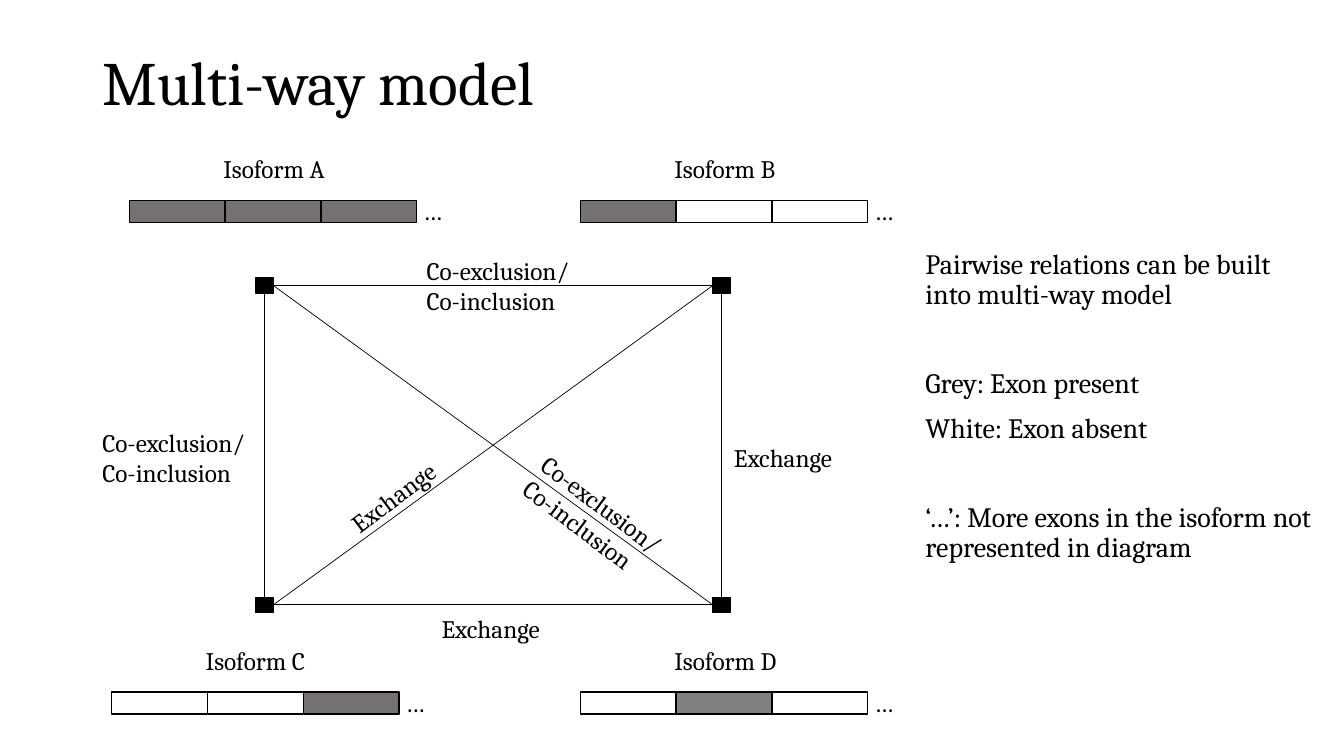
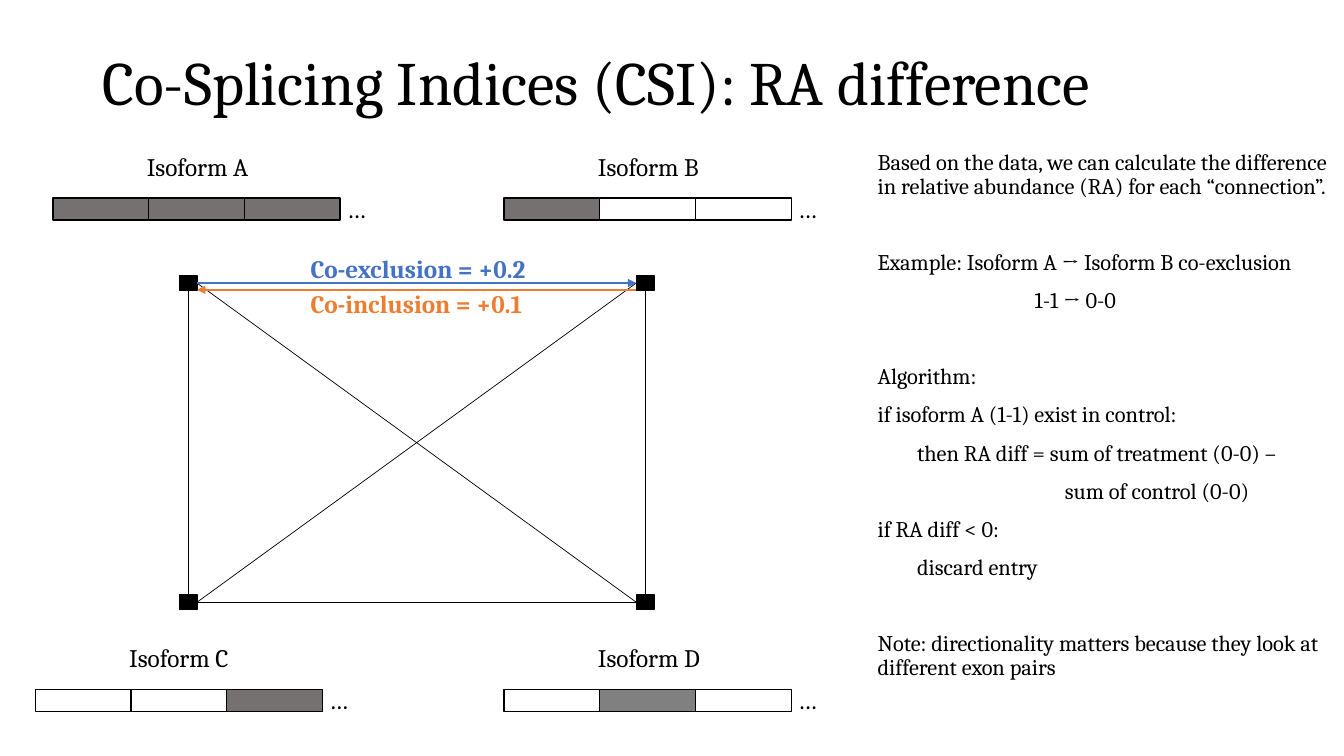
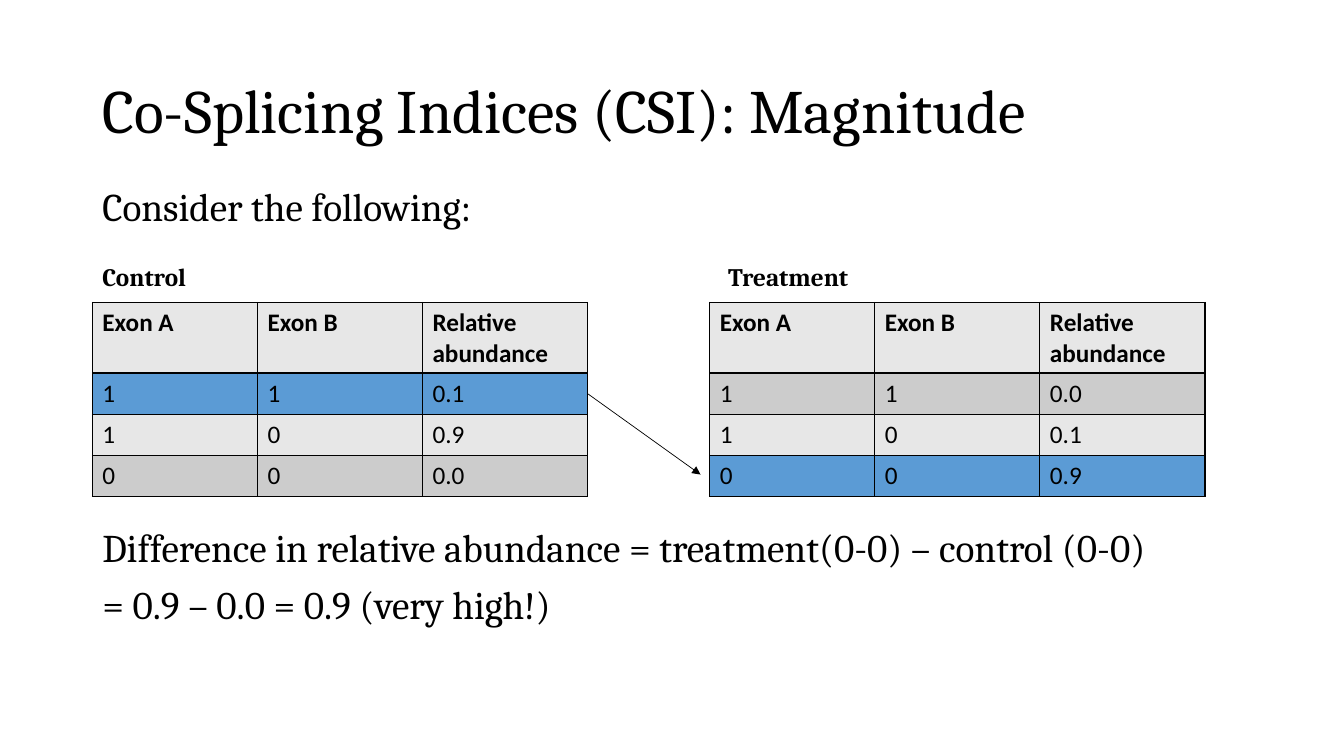
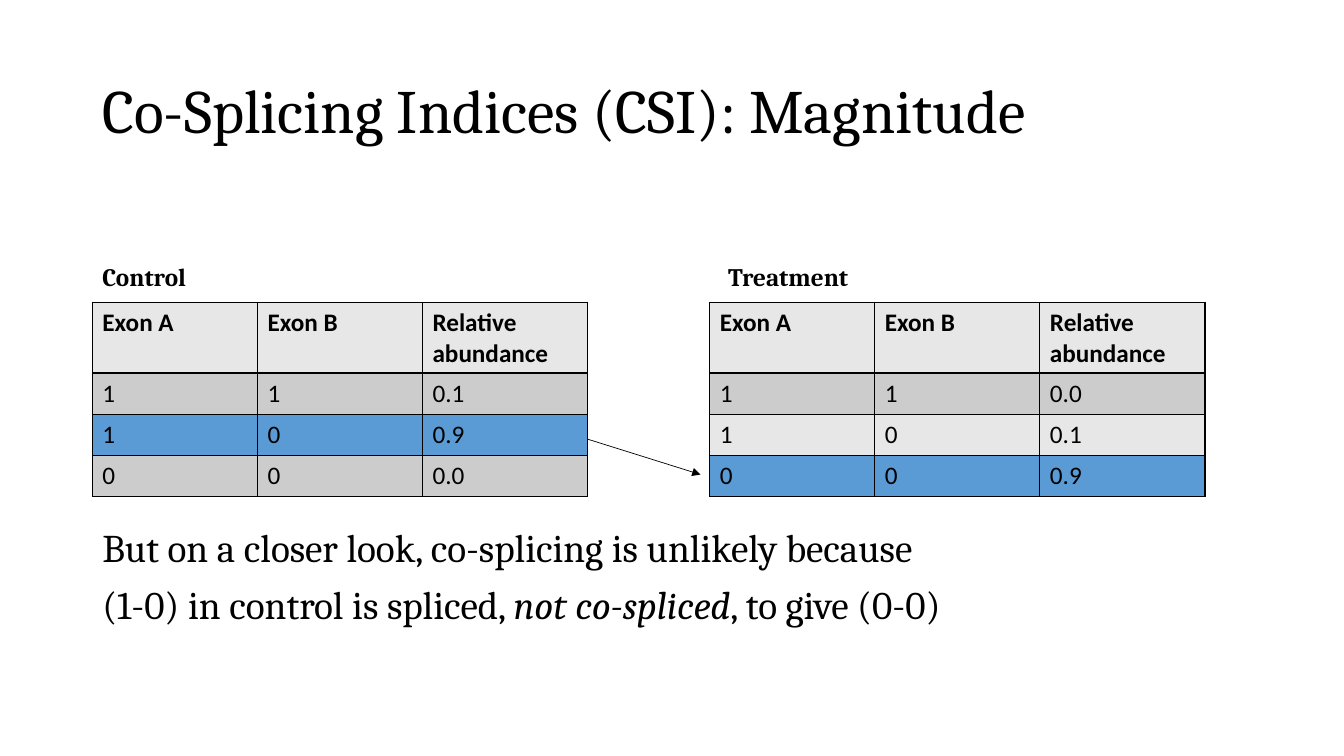
from collections import namedtuple

from lxml import etree
from pptx import Presentation
from pptx.dml.color import RGBColor
from pptx.enum.shapes import MSO_CONNECTOR, MSO_SHAPE
from pptx.enum.text import MSO_ANCHOR
from pptx.oxml.ns import qn
from pptx.util import Inches, Pt

RECT = MSO_SHAPE.RECTANGLE
STRAIGHT = MSO_CONNECTOR.STRAIGHT
TOP, MIDDLE = MSO_ANCHOR.TOP, MSO_ANCHOR.MIDDLE

BLACK = RGBColor(0x00, 0x00, 0x00)
WHITE = RGBColor(0xFF, 0xFF, 0xFF)
GREY = RGBColor(0x76, 0x71, 0x71)
MID_GREY = RGBColor(0x80, 0x80, 0x80)
BLUE = RGBColor(0x44, 0x72, 0xC4)
ORANGE = RGBColor(0xED, 0x7D, 0x31)
LIGHT_BAND = RGBColor(0xE7, 0xE7, 0xE7)
DARK_BAND = RGBColor(0xCC, 0xCC, 0xCC)
HIGHLIGHT = RGBColor(0x5B, 0x9B, 0xD5)

SERIF, SANS = "Cambria", "Calibri"
COLUMNS = 160  # square grid of 160 x 90 units
MARGIN = 11
LABEL_W, LABEL_H, PAIR_H = 15.7, 4.8, 8.5
NODE_W, NODE_H = 2.1, 1.8
NET_W, NET_H = 54.4, 38
EXON_W, EXON_H = 11.4, 2.6
TABLE_TOP, TABLE_COL, HEAD_ROW, BODY_ROW = 36, 19.65, 8.3, 4.9
TABLE_W = 3 * TABLE_COL
CONTROL_X, TREATMENT_X = MARGIN, 84.5

# Strip positions are relative to the top left node of the network.
ISOFORMS = [
    ("Isoform A", -16.1, -10.1, (GREY, GREY, GREY)),
    ("Isoform B", 37.6, -10.1, (GREY, WHITE, WHITE)),
    ("Isoform C", -18.2, 48.4, (WHITE, WHITE, GREY)),
    ("Isoform D", 37.6, 48.4, (WHITE, MID_GREY, WHITE)),
]
HEADER = ("Exon A", "Exon B", "Relative abundance")
CONTROL = [HEADER, ("1", "1", "0.1"), ("1", "0", "0.9"), ("0", "0", "0.0")]
TREATMENT = [HEADER, ("1", "1", "0.0"), ("1", "0", "0.1"), ("0", "0", "0.9")]
PAIR = "Co-exclusion/ Co-inclusion"

# runs alternate between plain and italic; gap opens a new block
Para = namedtuple("Para", "runs gap indent", defaults=(False, 0))


class Deck:
    def __init__(self):
        self.prs = Presentation()
        self.prs.slide_width, self.prs.slide_height = Inches(13.333), Inches(7.5)
        self.unit = self.prs.slide_width / COLUMNS

    def grid(self, *lengths):
        return [round(n * self.unit) for n in lengths]

    def new_slide(self, title, top):
        self.s = self.prs.slides.add_slide(self.prs.slide_layouts[6])
        tf = self.text(title, MARGIN, top, 138, 17.4, size=44, anchor=MIDDLE)
        tf.paragraphs[0].line_spacing = 0.9

    def run(self, p, text, size, color=BLACK, font=SERIF, bold=False, italic=False):
        r = p.add_run()
        r.text = text
        r.font.name, r.font.size = font, Pt(size)
        r.font.bold, r.font.italic = bold, italic
        r.font.color.rgb = color

    def frame(self, x, y, w, h, rotation=0, anchor=TOP):
        sp = self.s.shapes.add_textbox(*self.grid(x, y, w, h))
        sp.rotation = rotation
        tf = sp.text_frame
        tf.word_wrap = True
        tf.vertical_anchor = anchor
        return tf

    def text(self, text, x, y, w=LABEL_W, h=LABEL_H, size=18, color=BLACK,
             bold=False, rotation=0, anchor=TOP):
        tf = self.frame(x, y, w, h, rotation, anchor)
        self.run(tf.paragraphs[0], text, size, color, bold=bold)
        return tf

    def body(self, paras, x, y, w, h, size):
        tf = self.frame(x, y, w, h)
        for i, para in enumerate(paras):
            p = tf.add_paragraph() if i else tf.paragraphs[0]
            p.line_spacing = 0.9
            p.space_before = Pt(20 + round(1.08 * size)) if para.gap else Pt(10)
            if para.indent:
                p._p.get_or_add_pPr().set("marL", str(self.grid(para.indent)[0]))
            for j, text in enumerate(para.runs):
                self.run(p, text, size, italic=j % 2 == 1)

    def box(self, x, y, w, h, fill):
        sp = self.s.shapes.add_shape(RECT, *self.grid(x, y, w, h))
        sp.shadow.inherit = False
        sp.fill.solid()
        sp.fill.fore_color.rgb = fill
        sp.line.color.rgb = BLACK
        sp.line.width = Pt(1)

    def line(self, x1, y1, x2, y2, color=BLACK, width=0.5, arrow=False):
        cn = self.s.shapes.add_connector(STRAIGHT, *self.grid(x1, y1, x2, y2))
        cn.line.color.rgb = color
        cn.line.width = Pt(width)
        if arrow:
            etree.SubElement(cn.line._get_or_add_ln(), qn("a:tailEnd"), type="triangle")
        etree.SubElement(cn._element.spPr, qn("a:effectLst"))

    def isoform(self, name, x, y, exons):
        self.text(name, x + 10, y - 6.2)
        for i, fill in enumerate(exons):
            self.box(x + i * EXON_W, y, EXON_W, EXON_H, fill)
        self.text("…", x + 33.8, y - 1.2)

    def network(self, x, y, top_edge=True):
        """Four linked nodes and their isoforms; x, y is the top left node's centre."""
        right, bottom = x + NET_W, y + NET_H
        for cx in (x, right):
            for cy in (y, bottom):
                self.box(cx - NODE_W / 2, cy - NODE_H / 2, NODE_W, NODE_H, BLACK)
            self.line(cx, y + NODE_H / 2, cx, bottom - NODE_H / 2)
        for y1, y2 in ((y, y), (bottom, bottom), (y, bottom), (bottom, y)):
            if top_edge or (y1, y2) != (y, y):
                self.line(x + NODE_W / 2, y1, right - NODE_W / 2, y2)
        for name, dx, dy, exons in ISOFORMS:
            self.isoform(name, x + dx, y + dy, exons)

    def border(self, cell):
        tcPr = cell._tc.get_or_add_tcPr()
        for side in ("a:lnL", "a:lnR", "a:lnT", "a:lnB"):
            ln = etree.SubElement(tcPr, qn(side), w=str(Pt(1)))
            fill = etree.SubElement(ln, qn("a:solidFill"))
            etree.SubElement(fill, qn("a:srgbClr"), val=str(BLACK))

    def table(self, x, rows, marked):
        h = HEAD_ROW + (len(rows) - 1) * BODY_ROW
        table = self.s.shapes.add_table(
            len(rows), len(HEADER), *self.grid(x, TABLE_TOP, TABLE_W, h)).table
        table.horz_banding = False
        for col in table.columns:
            col.width = self.grid(TABLE_COL)[0]
        for i, values in enumerate(rows):
            table.rows[i].height = self.grid(BODY_ROW if i else HEAD_ROW)[0]
            band = DARK_BAND if i % 2 else LIGHT_BAND
            for j, value in enumerate(values):
                cell = table.cell(i, j)
                self.border(cell)
                cell.fill.solid()
                cell.fill.fore_color.rgb = HIGHLIGHT if i == marked else band
                self.run(cell.text_frame.paragraphs[0], value, 18, font=SANS, bold=i == 0)

    def comparison(self, marked, arrow_y, conclusion):
        """Control and treatment tables, joined by an arrow, above a conclusion."""
        self.new_slide("Co-Splicing Indices (CSI): Magnitude", 4.8)
        self.text("Control", CONTROL_X, 30.5, TABLE_W, bold=True)
        self.text("Treatment", TREATMENT_X + 1, 30.5, TABLE_W, bold=True)
        self.table(CONTROL_X, CONTROL, marked)
        self.table(TREATMENT_X, TREATMENT, 3)
        self.line(70, arrow_y, 83.4, 56.5, arrow=True)
        self.body(conclusion, MARGIN, 62.4, 147, 23, 28)


def multi_way(deck):
    deck.new_slide("Multi-way model", 1.5)
    deck.network(31.5, 34)
    deck.text(PAIR, 49.6, 29.8, 20.6, PAIR_H)
    deck.text(PAIR, MARGIN, 50.3, 21, PAIR_H)
    deck.text(PAIR, 60.7, 57.8, 21.1, PAIR_H, rotation=37)
    deck.text("Exchange", 51.4, 72.4)
    deck.text("Exchange", 86.2, 52.1)
    deck.text("Exchange", 39.6, 56.3, rotation=323)
    deck.body([
        Para(["Pairwise relations can be built into multi-way model"]),
        Para(["Grey: Exon present"], gap=True),
        Para(["White: Exon absent"]),
        Para(["‘…’: More exons in the isoform not represented in diagram"], gap=True),
    ], 109, 29.2, 49.4, 50, 20)


def ra_difference(deck):
    x, y = 22.4, 33.7
    deck.new_slide("Co-Splicing Indices (CSI): RA difference", 1.5)
    deck.network(x, y, top_edge=False)
    left, right = x + NODE_W / 2, x + NET_W - NODE_W / 2
    deck.line(left, y, right, y, BLUE, 1.5, arrow=True)
    deck.line(right, y + 0.8, left, y + 0.8, ORANGE, 1.5, arrow=True)
    deck.text("Co-exclusion = +0.2", 35.8, 29.6, 28.4, color=BLUE, bold=True)
    deck.text("Co-inclusion = +0.1", 35.8, 33.7, 28.4, color=ORANGE, bold=True)
    deck.body([
        Para(["Based on the data, we can calculate the difference in relative "
              "abundance (RA) for each “connection”."]),
        Para(["Example: Isoform A → Isoform B co-exclusion"], gap=True),
        Para(["1-1 → 0-0"], indent=18.7),
        Para(["Algorithm:"], gap=True),
        Para(["if isoform A (1-1) exist in control:"]),
        Para(["then RA diff = sum of treatment (0-0) –"], indent=4.7),
        Para(["sum of control (0-0)"], indent=22.3),
        Para(["if RA diff < 0:"]),
        Para(["discard entry"], indent=4.7),
        Para(["Note: directionality matters because they look at different exon pairs"],
             gap=True),
    ], 103.3, 17.4, 56.7, 68.5, 16)


def main():
    deck = Deck()
    multi_way(deck)
    ra_difference(deck)
    deck.comparison(1, 46.9, [
        Para(["Difference in relative abundance = treatment(0-0) – control (0-0)"]),
        Para(["= 0.9 – 0.0 = 0.9 (very high!)"]),
    ])
    deck.text("Consider the following:", MARGIN, 21.1, 127, 6.8, size=28)
    deck.comparison(2, 52.3, [
        Para(["But on a closer look, co-splicing is unlikely because"]),
        Para(["(1-0) in control is spliced, ", "not co-spliced", ", to give (0-0)"]),
    ])
    deck.prs.save("out.pptx")


if __name__ == "__main__":
    main()
